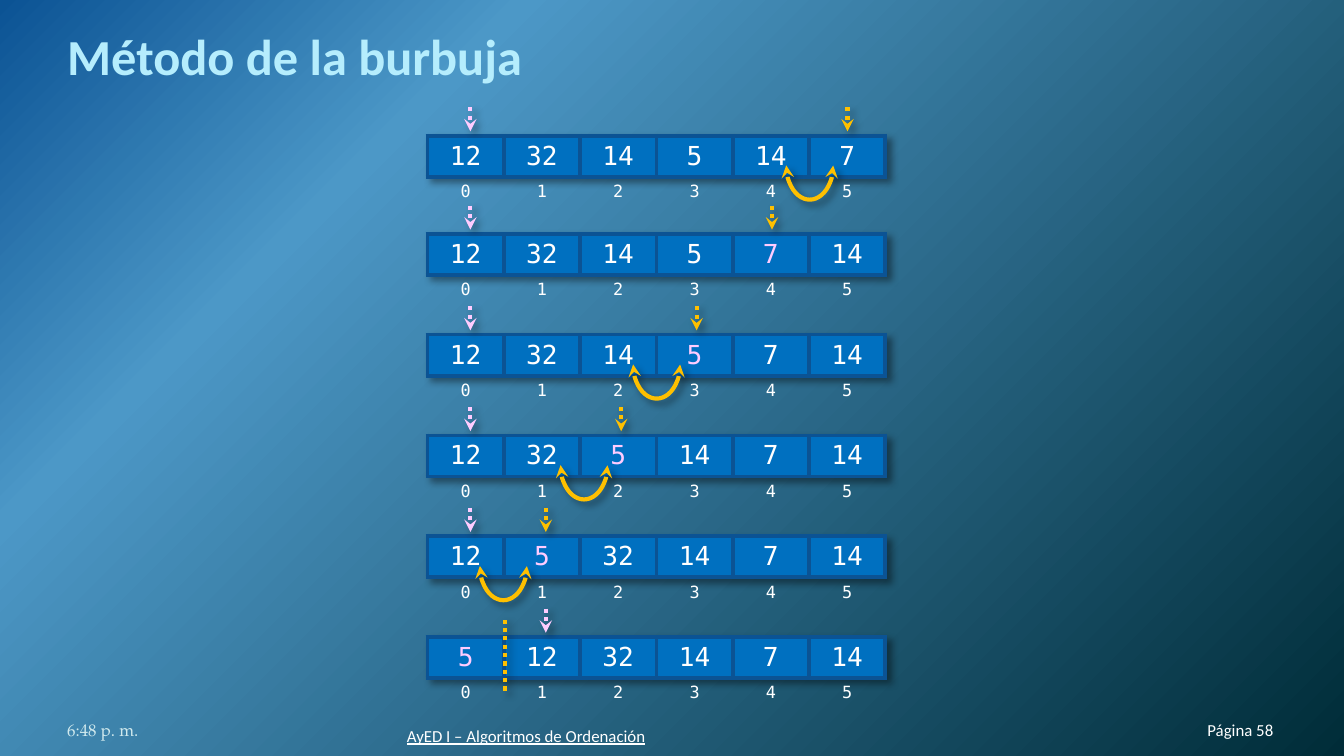
from pptx import Presentation
from pptx.dml.color import RGBColor
from pptx.enum import dml, shapes, text
from pptx.oxml import parse_xml
from pptx.oxml.ns import nsdecls, qn
from pptx.util import Pt

COLORS = {
    "title": "B5EDFD", "white": "FFFFFF", "time": "D1EAEE", "cell": "0070C0",
    "border": "0B5394", "pink": "FFCCFF", "amber": "FFC000", "shadow": "000000",
}
BACKGROUND = [(0, "0B5394"), (25, "4C98C7"), (100, "002C38")]
NO_TABLE_STYLE = "{2D5ABB26-0587-4C30-8999-92F81FD0307C}"

TABLE_LEFT, COLUMN_WIDTH = 229, 40.9
MARKER_LEFT, MARKER_PITCH = 252, 40.4
LINE_WIDTH = 2.25

# top, values, highlighted column, pink marker column, amber marker column, swap left
PASSES = [
    (72.7, (12, 32, 14, 5, 14, 7), None, 0, 5, 415.4),
    (125.3, (12, 32, 14, 5, 7, 14), 4, 0, 4, None),
    (179.3, (12, 32, 14, 5, 7, 14), 3, 0, 3, 333.4),
    (233.3, (12, 32, 5, 14, 7, 14), 2, 0, 2, 294.5),
    (287.3, (12, 5, 32, 14, 7, 14), 1, 0, 1, 251.3),
    (341.3, (5, 12, 32, 14, 7, 14), 0, 1, None, None),
]


def rgb(name):
    return RGBColor.from_string(COLORS[name])


def shadow_effect():
    return parse_xml(
        f'<a:effectLst {nsdecls("a")}><a:outerShdw blurRad="{Pt(4)}" dist="{Pt(3)}" '
        f'dir="2700000" algn="tl" rotWithShape="0"><a:srgbClr val="{COLORS["shadow"]}">'
        '<a:alpha val="40000"/></a:srgbClr></a:outerShdw></a:effectLst>')


def solid_line(tag, color, width):
    return parse_xml(
        f'<a:{tag} {nsdecls("a")} w="{Pt(width)}"><a:solidFill>'
        f'<a:srgbClr val="{COLORS[color]}"/></a:solidFill></a:{tag}>')


def set_background(slide):
    slide.background.fill.solid()
    holder = slide.element.find(".//" + qn("p:bgPr"))
    stops = "".join(f'<a:gs pos="{pos * 1000}"><a:srgbClr val="{color}"/></a:gs>'
                    for pos, color in BACKGROUND)
    holder.replace(holder[0], parse_xml(
        f'<a:gradFill {nsdecls("a")} rotWithShape="1"><a:gsLst>{stops}</a:gsLst>'
        '<a:path path="circle"><a:fillToRect r="100000" b="100000"/></a:path></a:gradFill>'))


def write(paragraph, words, color, align=text.PP_ALIGN.LEFT, **font_format):
    run = paragraph.add_run()
    run.text = words
    paragraph.alignment = align
    for name, value in font_format.items():
        setattr(run.font, name, value)
    run.font.color.rgb = rgb(color)
    return run


def fit_frame(frame, top_margin=0):
    settings = {
        "word_wrap": True, "auto_size": text.MSO_AUTO_SIZE.NONE,
        "vertical_anchor": text.MSO_ANCHOR.BOTTOM,
        "margin_left": 0, "margin_right": 0, "margin_bottom": 0,
        "margin_top": Pt(top_margin),
    }
    for name, value in settings.items():
        setattr(frame, name, value)


def add_title(slide, words):
    title = slide.shapes.title
    place = {"left": 36, "top": 16.5, "width": 648, "height": 29.5}
    for name, value in place.items():
        setattr(title, name, Pt(value))
    fit_frame(title.text_frame, 3.6)
    run = write(title.text_frame.paragraphs[0], words, "title",
                name="Calibri", size=Pt(27), bold=True)
    run.font.fill  # the outline goes ahead of the fill
    run.font._element.insert(0, solid_line("ln", "cell", 0.75))


def add_footer(slide, box, words, color, **font_format):
    footer = slide.shapes.add_textbox(*map(Pt, box))
    fit_frame(footer.text_frame)
    write(footer.text_frame.paragraphs[0], words, color, size=Pt(9), **font_format)


def format_cell(cell, words, color, size, sides):
    margins = {"margin_left": 5.4, "margin_right": 5.4,
               "margin_top": 2.7, "margin_bottom": 2.7}
    for name, value in margins.items():
        setattr(cell, name, Pt(value))
    write(cell.text_frame.paragraphs[0], words, color, text.PP_ALIGN.CENTER,
          name="DejaVu Sans Mono", size=Pt(size))
    properties = cell._tc.get_or_add_tcPr()
    for side in sides:
        properties.append(solid_line("ln" + side, "border", LINE_WIDTH))


def add_array(slide, top, values, highlighted):
    """Row of values with their indexes beneath."""
    count = len(values)
    array = slide.shapes.add_table(2, count, Pt(TABLE_LEFT), Pt(top),
                                   Pt(COLUMN_WIDTH * count), Pt(39.4)).table
    array.first_row = array.horz_banding = False
    properties = array._tbl.tblPr
    properties.find(qn("a:tableStyleId")).text = NO_TABLE_STYLE
    properties.insert(0, shadow_effect())
    for row, height in zip(array.rows, (22, 17.4)):
        row.height = Pt(height)
    for index, value in enumerate(values):
        array.columns[index].width = Pt(COLUMN_WIDTH)
        value_cell, index_cell = array.cell(0, index), array.cell(1, index)
        color = "pink" if index == highlighted else "white"
        format_cell(value_cell, str(value), color, 14, "LRTB")
        value_cell.fill.solid()
        value_cell.fill.fore_color.rgb = rgb("cell")
        format_cell(index_cell, str(index), "white", 9, "T")
        index_cell.fill.background()


def style_stroke(stroke, color, arrowheads=(), dotted=False):
    stroke.line.color.rgb = rgb(color)
    stroke.line.width = Pt(LINE_WIDTH)
    if dotted:
        stroke.line.dash_style = dml.MSO_LINE.ROUND_DOT
    outline = stroke.line._get_or_add_ln()
    for end in arrowheads:
        outline.append(parse_xml(f'<a:{end} {nsdecls("a")} type="stealth"/>'))
    stroke._element.spPr.append(shadow_effect())


def add_dotted_line(slide, x, start, end, color, arrowheads=()):
    line = slide.shapes.add_connector(shapes.MSO_CONNECTOR.STRAIGHT,
                                      Pt(x), Pt(start), Pt(x), Pt(end))
    style_stroke(line, color, arrowheads, dotted=True)


def add_marker(slide, column, table_top, color):
    start = table_top - 15.2
    add_dotted_line(slide, MARKER_LEFT + MARKER_PITCH * column,
                    start, start + 12.9, color, ["tailEnd"])


def add_swap(slide, left, table_top):
    """Double-headed arc under two neighbouring values."""
    swap = slide.shapes.add_shape(shapes.MSO_SHAPE.ARC, Pt(left), Pt(table_top + 3.3),
                                  Pt(36.7), Pt(25.2))
    swap.adjustments[0], swap.adjustments[1] = 162, 53.78
    swap.rotation = 270
    swap._element.spPr.xfrm.set("flipH", "1")
    swap.fill.background()
    style_stroke(swap, "amber", ["headEnd", "tailEnd"])


def main():
    deck = Presentation()
    deck.slide_width, deck.slide_height = Pt(720), Pt(405)
    slide = deck.slides.add_slide(deck.slide_layouts[5])
    set_background(slide)
    add_title(slide, "Método de la burbuja")

    for top, values, highlighted, first, current, swap_left in PASSES:
        add_array(slide, top, values, highlighted)
        add_marker(slide, first, top, "pink")
        if current is not None:
            add_marker(slide, current, top, "amber")
        if swap_left is not None:
            add_swap(slide, swap_left, top)
    add_dotted_line(slide, 270.7, 370, 331.2, "amber")

    add_footer(slide, (36, 375, 168, 21.6), "6:48 p. m.", "time", name="TeX Gyre Pagella")
    add_footer(slide, (218, 378, 272, 21.6), "AyED I – Algoritmos de Ordenación", "white",
               name="Calibri", underline=True)
    add_footer(slide, (611.5, 375, 70.6, 21.6), "Página 58", "white",
               align=text.PP_ALIGN.RIGHT, name="Calibri")
    deck.save("out.pptx")


if __name__ == "__main__":
    main()
